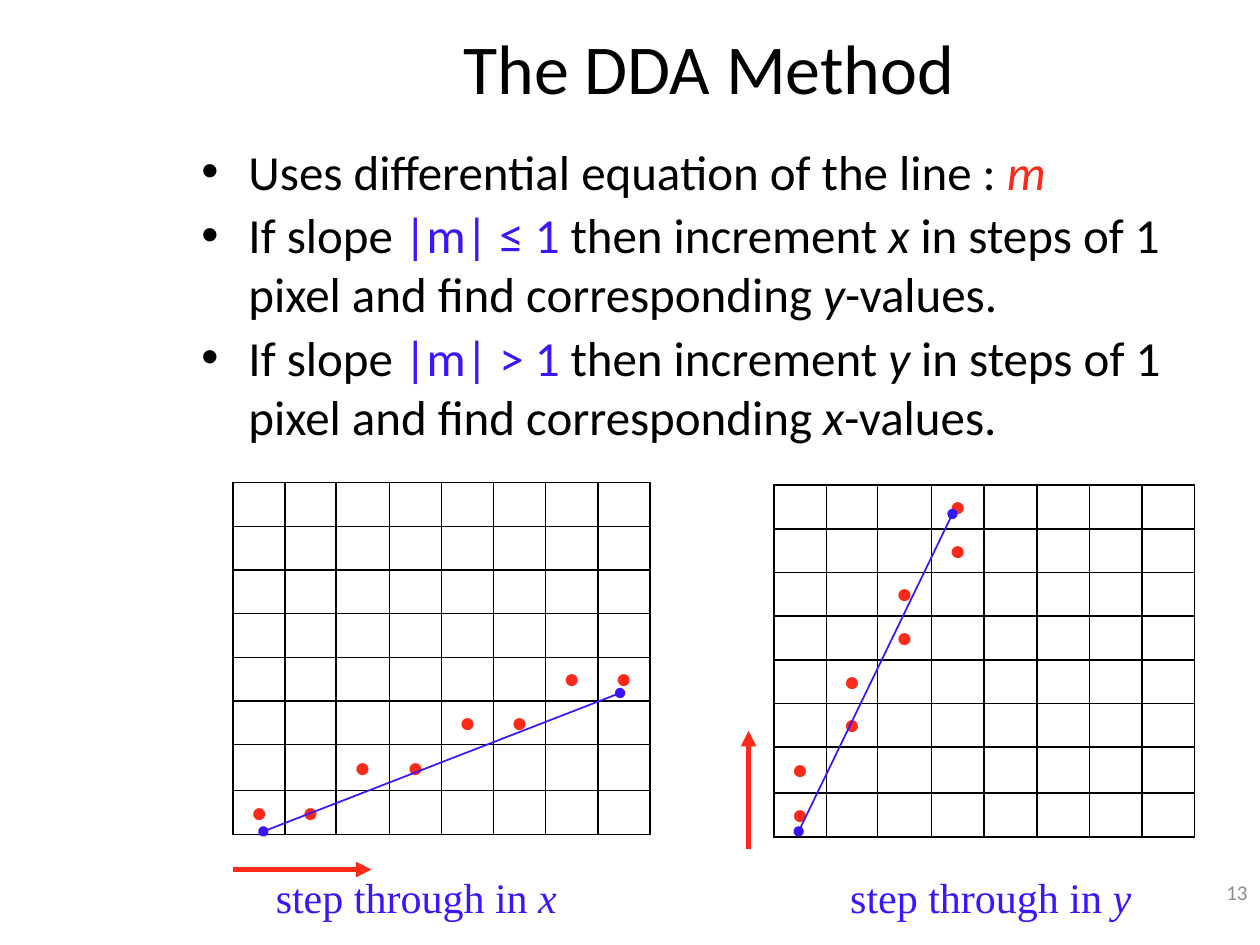
import pptx
import pptx.dml.color
import pptx.enum.shapes
import pptx.enum.text
import pptx.oxml
import pptx.oxml.ns
import pptx.util
from lxml import etree

Cm, Pt = pptx.util.Cm, pptx.util.Pt
RGB = pptx.dml.color.RGBColor.from_string
ALIGN, ANCHOR = pptx.enum.text.PP_ALIGN, pptx.enum.text.MSO_ANCHOR
qn = pptx.oxml.ns.qn
COLORS = {"black": "000000", "red": "FD2919", "blue": "3817FF", "grey": "8C8C8C"}


def write_runs(paragraph, runs, size, face):
    """Each run is (text, colour name, italic)."""
    for text, color, italic in runs:
        run = paragraph.add_run()
        run.text = text
        run_format = {"size": Pt(size), "name": face, "italic": italic}
        for attribute, value in run_format.items():
            setattr(run.font, attribute, value)
        run.font.color.rgb = RGB(COLORS[color])


def draw_line(ends, color, width, **arrowheads):
    line = slide.shapes.add_connector(
        pptx.enum.shapes.MSO_CONNECTOR.STRAIGHT, *map(Cm, ends))
    line.line.color.rgb = RGB(COLORS[color])
    line.line.width = Pt(width)
    outline = line.line._get_or_add_ln()
    for end, kind in arrowheads.items():
        etree.SubElement(outline, qn(f"a:{end}"), type=kind)
    etree.SubElement(line._element.spPr, qn("a:effectLst"))


deck = pptx.Presentation()
deck.slide_width, deck.slide_height = Cm(25.4), Cm(19.05)
slide = deck.slides.add_slide(deck.slide_layouts[6])

# Title, slide number and step labels
captions = [
    ((3.81, 0.33, 20.96, 2.01), [("The DDA Method", "black", False)], 40, "Calibri",
     {"word_wrap": True, "vertical_anchor": ANCHOR.MIDDLE}, ALIGN.CENTER),
    ((20.12, 17.35, 5.28, 1.27), [("13", "grey", False)], 12, "Calibri",
     {"word_wrap": True, "vertical_anchor": ANCHOR.MIDDLE}, ALIGN.RIGHT),
]
for left, axis in ((5.31, "x"), (16.89, "y")):
    captions.append((
        (left, 17.45, 6.17, 1.27),
        [("step through in ", "blue", False), (axis, "blue", True)], 24, "Times New Roman",
        {"word_wrap": False, "auto_size": pptx.enum.text.MSO_AUTO_SIZE.SHAPE_TO_FIT_TEXT},
        ALIGN.LEFT))
for place, runs, size, face, frame_format, alignment in captions:
    caption = slide.shapes.add_textbox(*map(Cm, place)).text_frame
    for attribute, value in frame_format.items():
        setattr(caption, attribute, value)
    caption.paragraphs[0].alignment = alignment
    write_runs(caption.paragraphs[0], runs, size, face)

# Bullets
rules = [[("Uses differential equation of the line : ", "black", False), ("m", "red", True)]]
for condition, stepped, found in (("|m| ≤ 1", "x", "y"), ("|m| > 1", "y", "x")):
    rules.append([
        ("If slope ", "black", False), (condition, "blue", False),
        (" then increment ", "black", False), (stepped, "black", True),
        (" in steps of 1 pixel and find corresponding ", "black", False),
        (found, "black", True), ("-values.", "black", False)])
body = slide.shapes.add_textbox(Cm(3.81), Cm(2.72), Cm(21.59), Cm(6.6)).text_frame
body.word_wrap = True
for index, runs in enumerate(rules):
    rule = body.add_paragraph() if index else body.paragraphs[0]
    if index:
        rule.space_before = Pt(2.8)
    properties = rule._p.get_or_add_pPr()
    properties.set("marL", str(Cm(0.95)))
    properties.set("indent", str(-Cm(0.95)))
    etree.SubElement(properties, qn("a:buFont"), typeface="Arial")
    etree.SubElement(properties, qn("a:buChar"), char="•")
    write_runs(rule, runs, 28, "Calibri")

# Pixel grids: lit pixels as (row, column), two per step of the line
CELLS = 8
steep_pixels = {(row, 3 - row // 2) for row in range(CELLS)}
shallow_pixels = {(7 - column // 2, column) for column in range(CELLS)}
cell_format = {"margin_left": 0, "margin_right": 0, "margin_top": 0, "margin_bottom": 0,
               "vertical_anchor": ANCHOR.MIDDLE}
for left, top, pitch, pixels in ((15.6, 9.78, 1.06, steep_pixels),
                                 (4.7, 9.73, 1.05, shallow_pixels)):
    grid = slide.shapes.add_table(
        CELLS, CELLS, Cm(left), Cm(top), Cm(CELLS * pitch), Cm(7.09)).table
    grid.first_row = grid.horz_banding = False
    for index in range(CELLS):
        grid.columns[index].width = Cm(pitch + {1: -0.03, 2: 0.03}.get(index, 0))
        grid.rows[index].height = Cm(0.93 if index == 6 else 0.88)
        for column in range(CELLS):
            cell = grid.cell(index, column)
            for attribute, value in cell_format.items():
                setattr(cell, attribute, value)
            for side in ("lnL", "lnR", "lnT", "lnB"):
                border = etree.SubElement(
                    cell._tc.get_or_add_tcPr(), qn(f"a:{side}"), w=str(Pt(1)))
                fill = etree.SubElement(border, qn("a:solidFill"))
                etree.SubElement(fill, qn("a:srgbClr"), val=COLORS["black"])
            cell.fill.background()
            if (index, column) in pixels:
                dot = cell.text_frame.paragraphs[0]
                dot.alignment = ALIGN.CENTER
                write_runs(dot, [("●", "red", False)], 16, "Times New Roman")

# Ideal lines
for ends in ((5.31, 16.76, 12.5, 13.97), (16.1, 16.76, 19.2, 10.36)):
    draw_line(ends, "blue", 1, headEnd="oval", tailEnd="oval")

# Step direction arrows
for ends in ((4.7, 17.53, 7.49, 17.53), (15.09, 17.12, 15.09, 14.73)):
    draw_line(ends, "red", 3, tailEnd="triangle")

deck.save("out.pptx")
